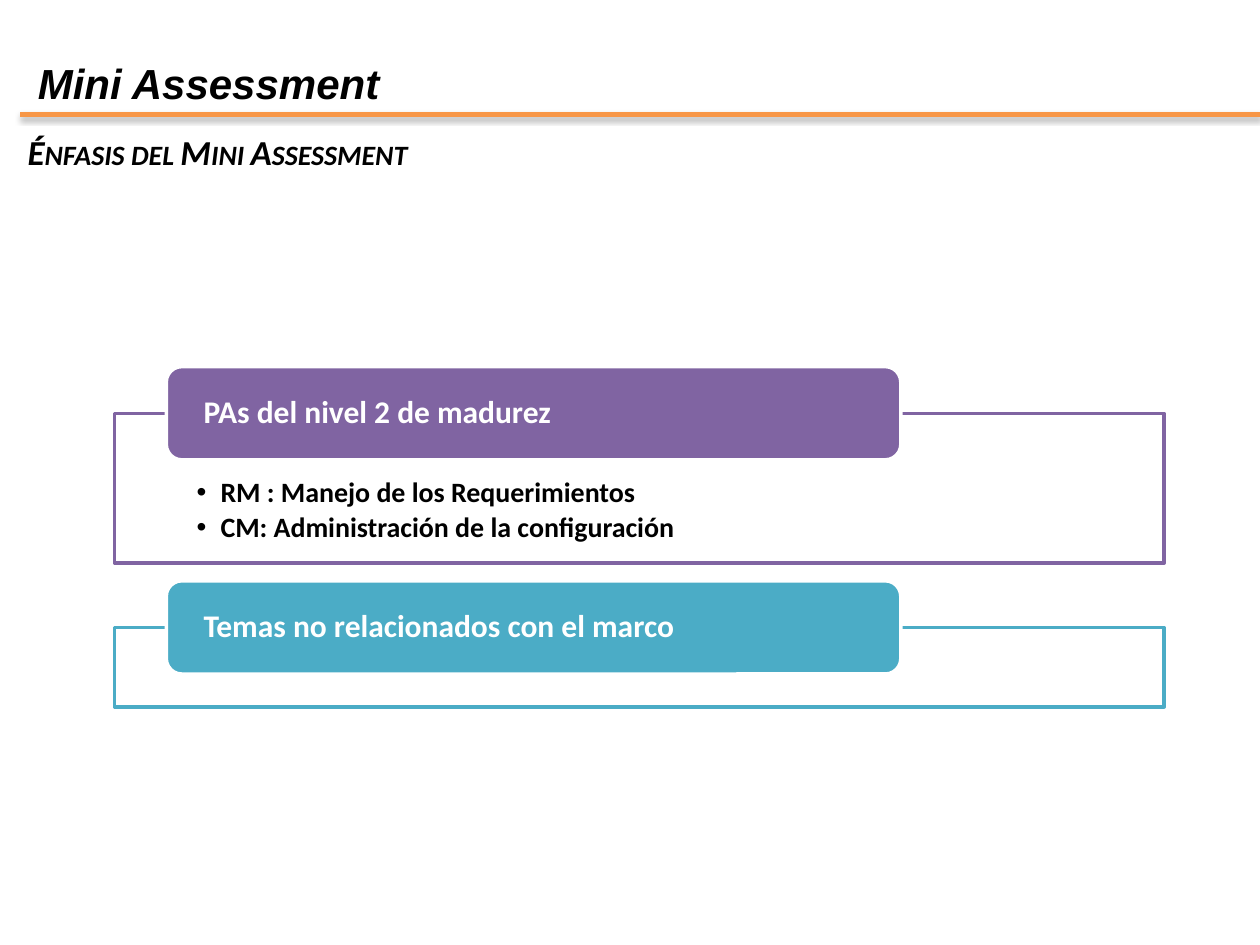
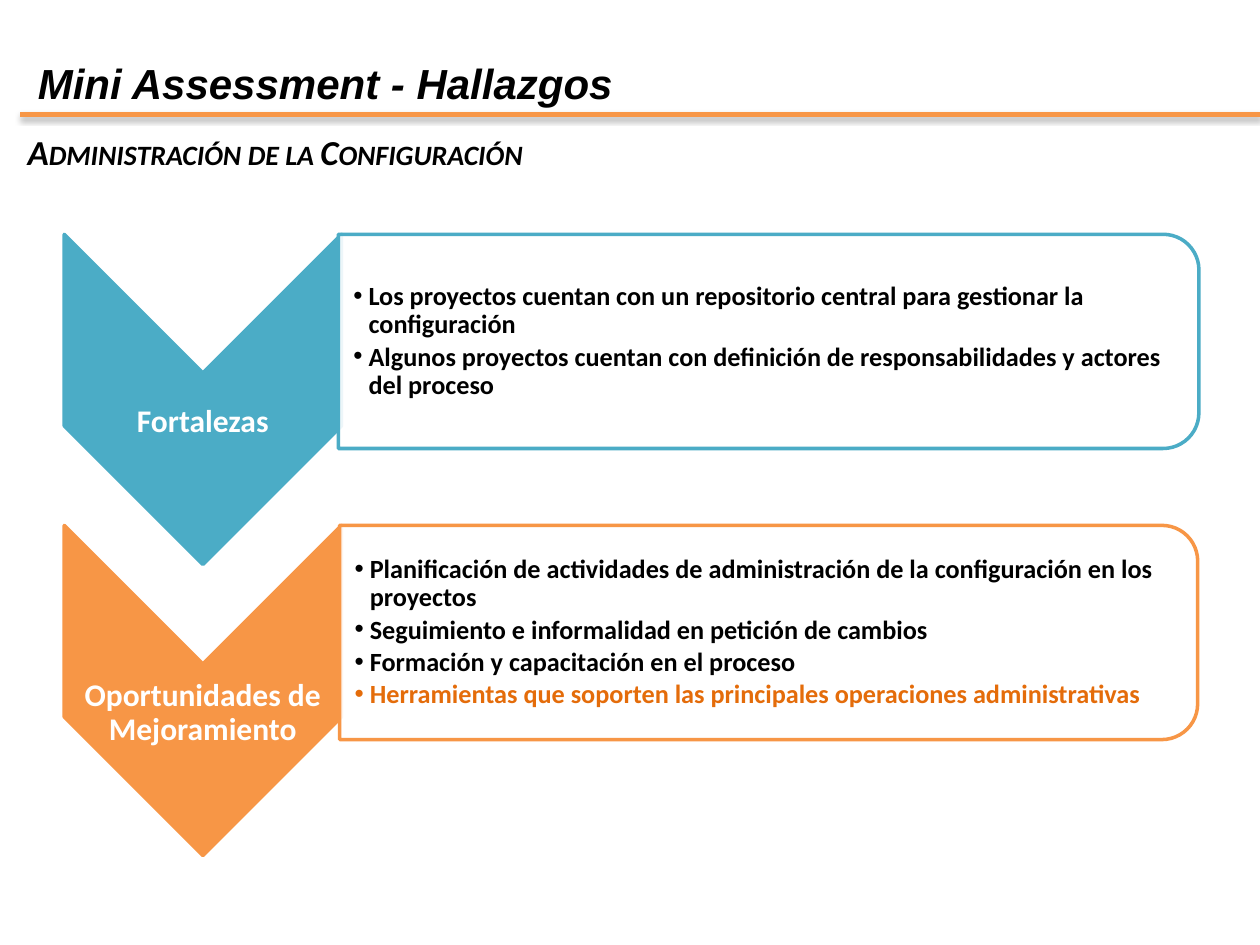
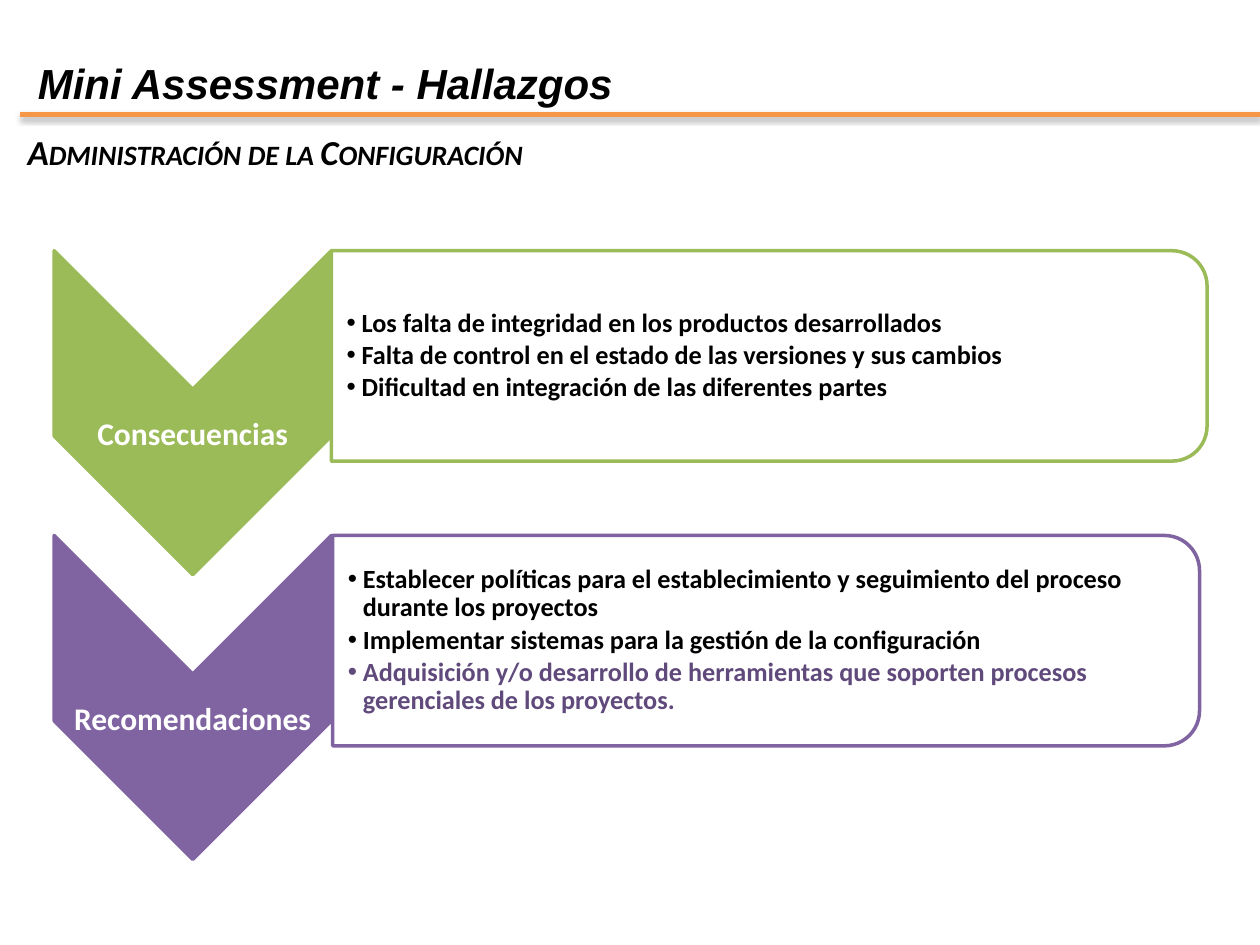
from dataclasses import dataclass
from typing import NamedTuple

import lxml.etree
import pptx
import pptx.dml.color
import pptx.enum.shapes
import pptx.enum.text
import pptx.oxml
import pptx.oxml.ns
import pptx.util

Inches, Pt = pptx.util.Inches, pptx.util.Pt
Preset = pptx.enum.shapes.MSO_SHAPE
Anchor = pptx.enum.text.MSO_ANCHOR
Align = pptx.enum.text.PP_ALIGN

SLIDE_WIDTH, SLIDE_HEIGHT = Inches(10), Inches(7.5)
COLUMN, ROW = SLIDE_WIDTH / 100, SLIDE_HEIGHT / 75

COLORS = {
    "black": "000000",
    "white": "FFFFFF",
    "orange": "F79646",
    "dark orange": "E46C0A",
    "purple": "8064A2",
    "dark purple": "604A7B",
    "teal": "4BACC6",
    "green": "9BBB59",
}
HEADING_FONT, BODY_FONT = "Arial", "Calibri"
CHEVRON_WIDTH = 22
LABEL_HEIGHT = 8
LABEL_CENTER = 0.57  # share of the chevron's height


class Box(NamedTuple):
    """A rectangle in grid columns and rows."""
    left: float
    top: float
    width: float
    height: float

    def lengths(self) -> tuple[int, int, int, int]:
        return (round(self.left * COLUMN), round(self.top * ROW),
                round(self.width * COLUMN), round(self.height * ROW))

    def turned(self) -> "Box":
        """The frame that covers this box after a quarter turn."""
        return Box(self.left + (self.width - self.height) / 2,
                   self.top + (self.height - self.width) / 2,
                   self.height, self.width)


class Insets(NamedTuple):
    left: float = 0.1
    top: float = 0.05
    right: float = 0.1
    bottom: float = 0.05


class TextStyle(NamedTuple):
    size: float
    color: str = "black"
    font: str = BODY_FONT
    italic: bool = False
    small_caps: bool = False
    align: Align = Align.LEFT
    line_spacing: float = 1.0
    bullet_indent: float = 0.0
    space_after: float = 0.0  # share of the text size


TITLE = TextStyle(24, font=HEADING_FONT, italic=True)
SUBTITLE = TextStyle(20, italic=True, small_caps=True)
TOPIC = TextStyle(18, "white", line_spacing=0.9)
STEP_LABEL = TOPIC._replace(align=Align.CENTER)
TOPIC_LIST = TextStyle(16, line_spacing=0.9, bullet_indent=0.19, space_after=0.15)
STEP_LIST = TOPIC_LIST._replace(size=15, bullet_indent=0.12)


@dataclass
class Topic:
    heading: str
    color: str
    frame_top: float
    frame_height: float
    items: tuple[str, ...] = ()


@dataclass
class Step:
    label: str
    color: str
    panel_left: float
    panel_width: float
    items: tuple[str, ...]
    last_item_color: str = "black"


@dataclass
class FindingsLayout:
    left: float
    top: float
    pitch: float
    chevron_height: float
    panel_height: float


TOPICS = (
    Topic("PAs del nivel 2 de madurez", "purple", 32.8, 11.9,
          ("RM : Manejo de los Requerimientos",
           "CM: Administración de la configuración")),
    Topic("Temas no relacionados con el marco", "teal", 49.8, 6.3),
)

FINDINGS = (
    (FindingsLayout(5.1, 18.6, 23.1, 26.2, 17), (
        Step("Fortalezas", "teal", 26.85, 68.3, (
            "Los proyectos cuentan con un repositorio central para gestionar la configuración",
            "Algunos proyectos cuentan con definición de responsabilidades y actores del proceso")),
        Step("Oportunidades de Mejoramiento", "orange", 26.95, 68.1, (
            "Planificación de actividades de administración de la configuración en los proyectos",
            "Seguimiento e informalidad en petición de cambios",
            "Formación y capacitación en el proceso",
            "Herramientas que soporten las principales operaciones administrativas"),
            "dark orange"))),
    (FindingsLayout(4.3, 19.9, 22.6, 25.7, 16.7), (
        Step("Consecuencias", "green", 26.3, 69.5, (
            "Los falta de integridad en los productos desarrollados",
            "Falta de control en el estado de las versiones y sus cambios",
            "Dificultad en integración de las diferentes partes")),
        Step("Recomendaciones", "purple", 26.4, 68.8, (
            "Establecer políticas para el establecimiento y seguimiento del proceso "
            "durante los proyectos",
            "Implementar sistemas para la gestión de la configuración",
            "Adquisición y/o desarrollo de herramientas que soporten procesos "
            "gerenciales de los proyectos."),
            "dark purple"))),
)


def rgb(color: str) -> pptx.dml.color.RGBColor:
    return pptx.dml.color.RGBColor.from_string(COLORS[color])


def place(shape, box: Box) -> None:
    shape.left, shape.top, shape.width, shape.height = box.lengths()


def set_bullet(paragraph, indent: float) -> None:
    properties = paragraph._p.get_or_add_pPr()
    properties.set("marL", str(Inches(indent)))
    properties.set("indent", str(-Inches(indent)))
    for tag, name, value in (("a:buFont", "typeface", "Arial"), ("a:buChar", "char", "•")):
        lxml.etree.SubElement(properties, pptx.oxml.ns.qn(tag)).set(name, value)


def write(shape, lines: tuple[str, ...], style: TextStyle,
          insets: Insets = Insets(), anchor: Anchor = Anchor.TOP) -> None:
    frame = shape.text_frame
    frame.text = "\n".join(lines)
    frame.word_wrap = True
    frame.auto_size = pptx.enum.text.MSO_AUTO_SIZE.NONE
    frame.vertical_anchor = anchor
    frame.margin_left, frame.margin_top, frame.margin_right, frame.margin_bottom = map(
        Inches, insets)
    for paragraph in frame.paragraphs:
        if style.bullet_indent:
            set_bullet(paragraph, style.bullet_indent)
        paragraph.alignment = style.align
        paragraph.line_spacing = style.line_spacing
        paragraph.space_before = Pt(0)
        paragraph.space_after = Pt(style.size * style.space_after)
        for run in paragraph.runs:
            run.font.size = Pt(style.size)
            run.font.name = style.font
            run.font.bold = True
            run.font.italic = style.italic
            run.font.color.rgb = rgb(style.color)
            if style.small_caps:
                run._r.get_or_add_rPr().set("cap", "small")


def add_block(slide, preset: Preset, box: Box, fill: str, line: str,
              opacity: int = 100, quarter_turn: bool = False):
    frame = box.turned() if quarter_turn else box
    block = slide.shapes.add_shape(preset, *frame.lengths())
    block.rotation = 90 if quarter_turn else 0
    block.shadow.inherit = False
    block.fill.solid()
    block.fill.fore_color.rgb = rgb(fill)
    block.line.color.rgb = rgb(line)
    block.line.width = Pt(2)
    if opacity < 100:
        fill_color = block.element.spPr.find(
            pptx.oxml.ns.qn("a:solidFill")).find(pptx.oxml.ns.qn("a:srgbClr"))
        lxml.etree.SubElement(fill_color, pptx.oxml.ns.qn("a:alpha")).set(
            "val", str(opacity * 1000))
    return block


def add_heading_rule(slide) -> None:
    rule = slide.shapes.add_connector(
        pptx.enum.shapes.MSO_CONNECTOR.STRAIGHT,
        round(1.6 * COLUMN), round(9.1 * ROW), SLIDE_WIDTH, round(9.1 * ROW))
    rule.line.color.rgb = rgb("orange")
    rule.line.width = Pt(3)
    rule.element.spPr.append(pptx.oxml.parse_xml(
        f'<a:effectLst {pptx.oxml.ns.nsdecls("a")}>'
        f'<a:outerShdw blurRad="{Pt(3.1)}" dist="{Pt(1.8)}" dir="5400000" rotWithShape="0">'
        f'<a:srgbClr val="{COLORS["black"]}"><a:alpha val="35000"/></a:srgbClr>'
        '</a:outerShdw></a:effectLst>'))


def add_headed_slide(deck, layout_name: str, title: str, subtitle: str):
    slide = deck.slides.add_slide(deck.slide_layouts.get_by_name(layout_name))
    add_heading_rule(slide)
    place(slide.shapes.title, Box(2, 4.1, 70.1, 5.1))
    write(slide.shapes.title, (title,), TITLE)
    subtitle_box = slide.shapes.add_textbox(*Box(1.2, 9.9, 96.9, 4.8).lengths())
    write(subtitle_box, (subtitle,), SUBTITLE)
    return slide


def fill_list(slide, index: int, box: Box, items: tuple[str, ...],
              style: TextStyle, insets: Insets, anchor: Anchor):
    """Fill a body placeholder and bring it in front of its frame."""
    body = slide.placeholders[index]
    place(body, box)
    write(body, items, style, insets, anchor)
    slide.shapes.element.append(body.element)
    return body


def add_topic(slide, topic: Topic) -> None:
    frame = Box(9.1, topic.frame_top, 83.3, topic.frame_height)
    add_block(slide, Preset.RECTANGLE, frame, "white", topic.color, opacity=90)
    if topic.items:
        fill_list(slide, 1, frame, topic.items, TOPIC_LIST,
                  Insets(0.65, 0.52, 0.65, 0.12), Anchor.TOP)
    heading = add_block(slide, Preset.ROUNDED_RECTANGLE,
                        Box(13.2, topic.frame_top - 3.7, 58.3, 7.4), topic.color, "white")
    write(heading, (topic.heading,), TOPIC, Insets(0.26, 0, 0.26, 0), Anchor.MIDDLE)


def add_step(slide, layout: FindingsLayout, position: int, step: Step) -> None:
    top = layout.top + position * layout.pitch
    add_block(slide, Preset.CHEVRON,
              Box(layout.left, top, CHEVRON_WIDTH, layout.chevron_height),
              step.color, step.color, quarter_turn=True)
    label_top = top + layout.chevron_height * LABEL_CENTER - LABEL_HEIGHT / 2
    label = slide.shapes.add_textbox(
        *Box(layout.left, label_top, CHEVRON_WIDTH, LABEL_HEIGHT).lengths())
    write(label, (step.label,), STEP_LABEL, Insets(0.01, 0.01, 0.01, 0.01), Anchor.MIDDLE)

    panel = Box(step.panel_left, top, step.panel_width, layout.panel_height)
    add_block(slide, Preset.ROUND_2_SAME_RECTANGLE, panel, "white", step.color,
              opacity=90, quarter_turn=True)
    body = fill_list(slide, position + 1, panel._replace(width=panel.width - 0.8), step.items,
                     STEP_LIST, Insets(0.12, 0.01, 0.01, 0.01), Anchor.MIDDLE)
    for run in body.text_frame.paragraphs[-1].runs:
        run.font.color.rgb = rgb(step.last_item_color)


def main() -> None:
    deck = pptx.Presentation()
    deck.slide_width, deck.slide_height = SLIDE_WIDTH, SLIDE_HEIGHT

    emphasis = add_headed_slide(deck, "Title and Content", "Mini Assessment",
                                "Énfasis del Mini Assessment")
    for topic in TOPICS:
        add_topic(emphasis, topic)

    for layout, steps in FINDINGS:
        findings = add_headed_slide(deck, "Two Content", "Mini Assessment - Hallazgos",
                                    "Administración de la Configuración")
        for position, step in enumerate(steps):
            add_step(findings, layout, position, step)

    deck.save("out.pptx")


if __name__ == "__main__":
    main()
